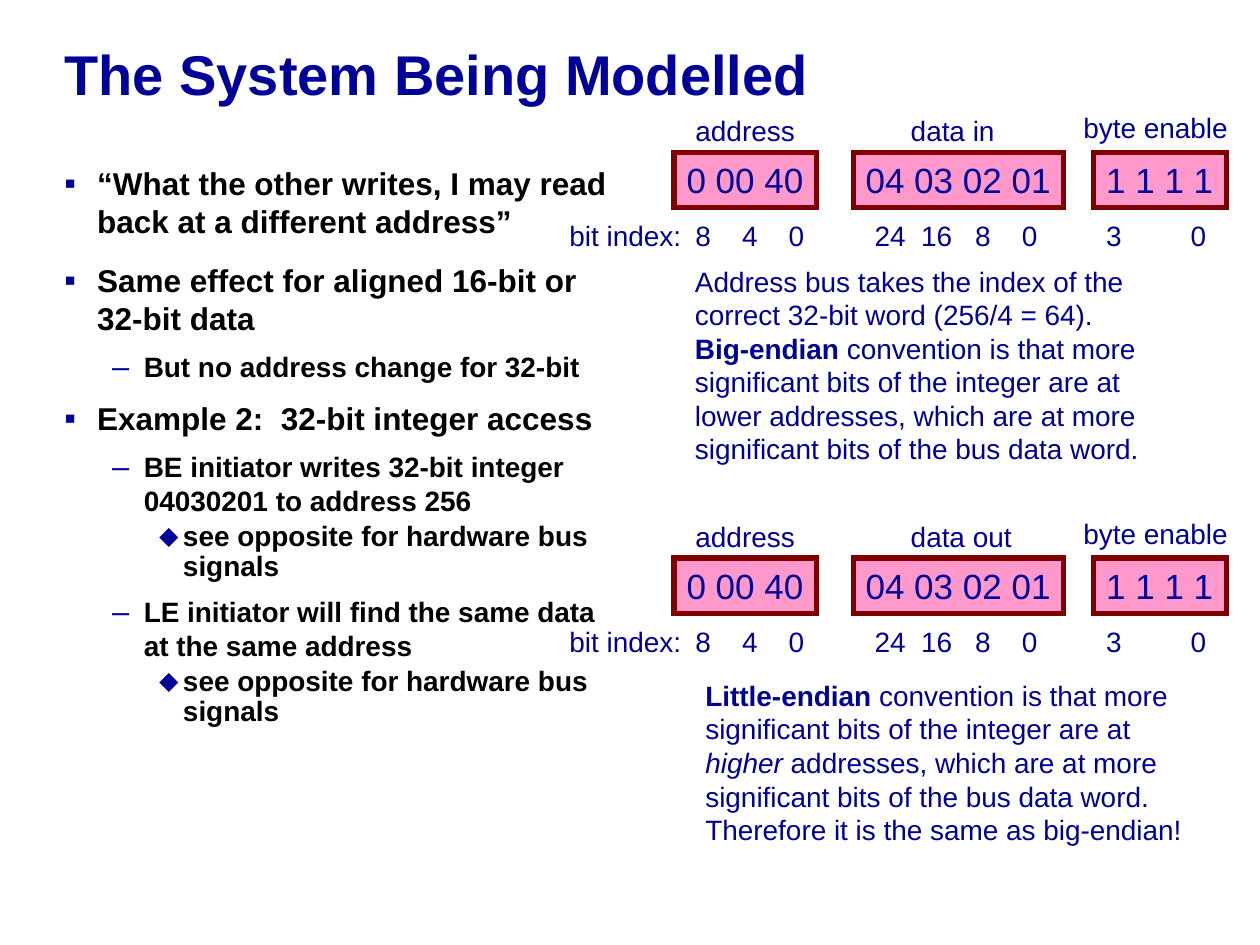
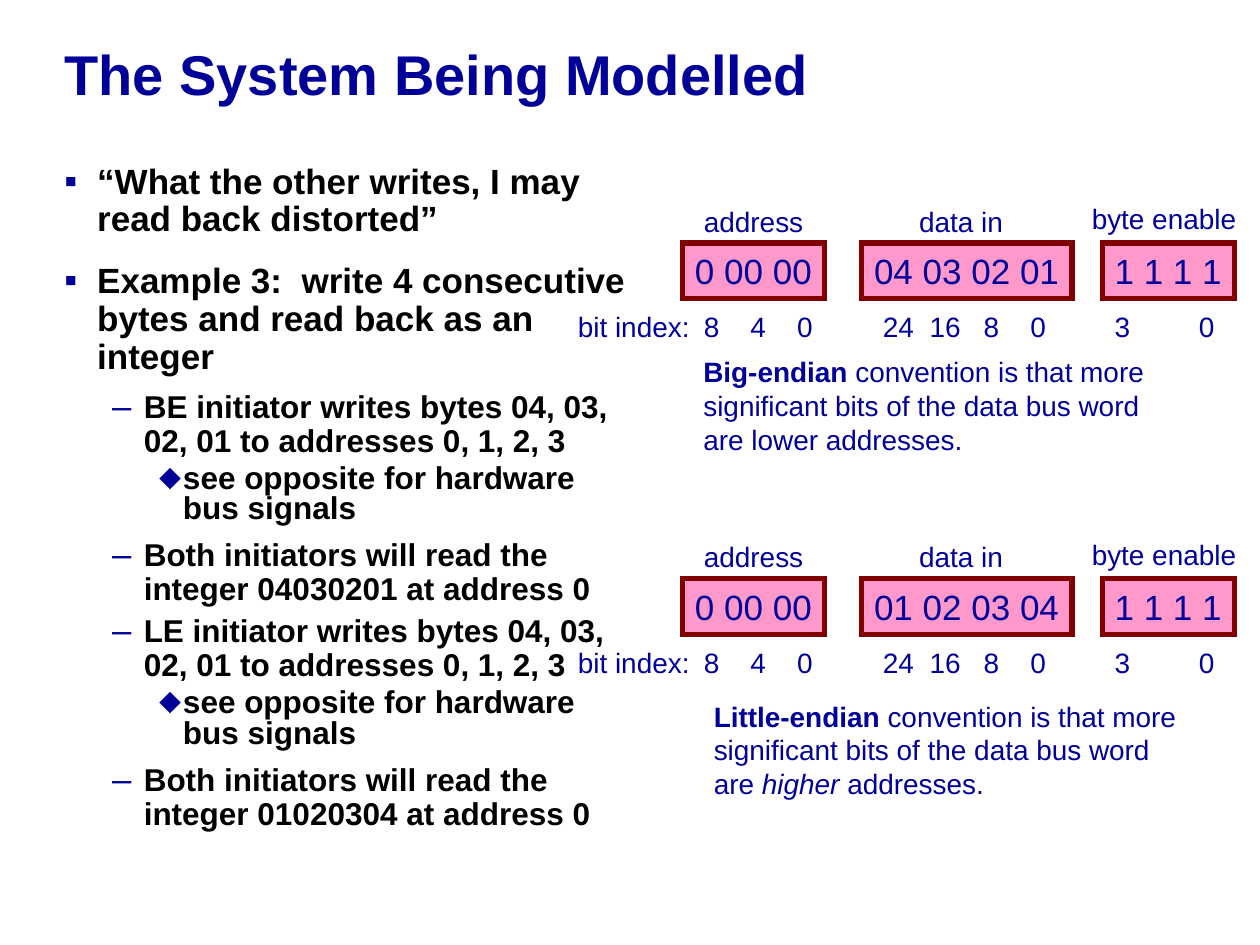
import pptx
import pptx.dml.color
import pptx.enum.shapes
import pptx.enum.text
import pptx.oxml.ns
import pptx.util
import lxml.etree

Cm = pptx.util.Cm
Pt = pptx.util.Pt

NAVY = "000099"
BLACK = "000000"
PINK = "FF99CC"
MAROON = "800000"
TITLE = "The System Being Modelled"
BIT_INDICES = ("bit index:", "8", "4", "0", "24", "16", "8", "0", "3", "0")
BIT_STOPS = (2.54, 3.48, 4.42, 6.15, 7.09, 8.18, 9.12, 10.82, 12.52)
LABEL_WIDTHS = {"address": 2.55, "data in": 2.25, "data out": 2.6, "byte enable": 3.45}

# bullet, bullet size in percent, left margin, hanging indent, before and after as shares of size
LEVELS = (
    ("▪", 105, 0.66, 0.66, 0.5, 0.187),
    ("–", 110, 1.6, 0.64, 0.25, 0),
    ("⬥", 100, 2.39, 0.48, 0.187, 0.187),
)


def color(hex_string):
    """Turn a hex string into a colour."""
    return pptx.dml.color.RGBColor.from_string(hex_string)


def add_text(paragraph, text, size=16, fill=NAVY, bold=False, italic=False):
    """Append one formatted run to a paragraph."""
    run = paragraph.add_run()
    run.text = text
    run.font.name = "Arial"
    run.font.size = Pt(size)
    run.font.bold = bold
    run.font.italic = italic
    run.font.color.rgb = color(fill)


def add_element(parent, tag, **attributes):
    """Append a drawing element with the given attributes."""
    values = {name: str(value) for name, value in attributes.items()}
    return lxml.etree.SubElement(parent, pptx.oxml.ns.qn(tag), values)


def fit_to_text(frame):
    """Keep the text on one line and let the shape follow it."""
    frame.word_wrap = False
    frame.auto_size = pptx.enum.text.MSO_AUTO_SIZE.SHAPE_TO_FIT_TEXT


class Deck:
    """Hold the shared style and the current slide."""

    def __init__(self):
        """Start an empty presentation of 10 by 7.5 inches."""
        self.presentation = pptx.Presentation()
        self.presentation.slide_width = Cm(25.4)
        self.presentation.slide_height = Cm(19.05)
        self.slide = None

    def text_box(self, left, top, width, height):
        """Add an empty wrapping text box and return its frame."""
        shape = self.slide.shapes.add_textbox(Cm(left), Cm(top), Cm(width), Cm(height))
        shape.text_frame.word_wrap = True
        return shape.text_frame

    def new_slide(self):
        """Add a blank slide with the common title."""
        self.slide = self.presentation.slides.add_slide(self.presentation.slide_layouts[6])
        frame = self.text_box(1.05, 0, 24.13, 3.18)
        frame.vertical_anchor = pptx.enum.text.MSO_ANCHOR.MIDDLE
        frame.paragraphs[0].line_spacing = 0.85
        add_text(frame.paragraphs[0], TITLE, size=32, bold=True)

    def bullets(self, items, sizes, spacings):
        """Add the bulleted column from pairs of level and text."""
        frame = self.text_box(1.05, 3.18, 11.82, 13.97)
        for index, (level, text) in enumerate(items):
            character, percent, margin, hanging, before, after = LEVELS[level]
            size = sizes[level]
            paragraph = frame.add_paragraph() if index else frame.paragraphs[0]
            paragraph.level = level
            properties = paragraph._p.get_or_add_pPr()
            properties.set("marL", str(Cm(margin)))
            properties.set("indent", str(-Cm(hanging)))
            add_element(add_element(properties, "a:buClr"), "a:srgbClr", val=NAVY)
            add_element(properties, "a:buSzPct", val=percent * 1000)
            add_element(properties, "a:buFont", typeface="Arial")
            add_element(properties, "a:buChar", char=character)
            paragraph.line_spacing = spacings[level]
            paragraph.space_before = Pt(round(before * size, 1) if index else 0)
            paragraph.space_after = Pt(round(after * size, 1))
            add_text(paragraph, text, size=size, fill=BLACK, bold=True)

    def signal_box(self, text, left, top, width):
        """Add one framed bus value."""
        shape = self.slide.shapes.add_shape(
            pptx.enum.shapes.MSO_SHAPE.RECTANGLE, Cm(left), Cm(top), Cm(width), Cm(1.12))
        shape.shadow.inherit = False
        shape.fill.solid()
        shape.fill.fore_color.rgb = color(PINK)
        shape.line.color.rgb = color(MAROON)
        shape.line.width = Pt(3)
        outline = shape._element.spPr.find(pptx.oxml.ns.qn("a:ln"))
        add_element(outline, "a:miter", lim=800000)
        frame = shape.text_frame
        fit_to_text(frame)
        frame.vertical_anchor = pptx.enum.text.MSO_ANCHOR.TOP
        frame.paragraphs[0].alignment = pptx.enum.text.PP_ALIGN.LEFT
        add_text(frame.paragraphs[0], text, size=20)

    def label(self, text, left, top):
        """Add the name above a bus value."""
        frame = self.text_box(left, top, LABEL_WIDTHS[text], 0.94)
        fit_to_text(frame)
        add_text(frame.paragraphs[0], text)

    def bit_index(self, left, top):
        """Add the row of bit numbers on tab stops."""
        paragraph = self.text_box(left, top, 13.54, 0.94).paragraphs[0]
        tabs = add_element(paragraph._p.get_or_add_pPr(), "a:tabLst")
        for stop in BIT_STOPS:
            add_element(tabs, "a:tab", pos=Cm(stop), algn="l")
        add_text(paragraph, "\t".join(BIT_INDICES))

    def bus(self, left, top, address, data, data_label="data in"):
        """Add the address, data and byte enable signals of one access."""
        self.signal_box("1 1 1 1", left + 8.46, top, 2.67)
        self.signal_box(data, left + 3.61, top, 4.24)
        self.signal_box(address, left, top, 2.87)
        self.label("byte enable", left + 8, top - 0.96)
        self.label(data_label, left + 4.52, top - 0.91)
        self.label("address", left + 0.18, top - 0.91)
        self.bit_index(left - 2.36, top + 1.21)

    def note(self, left, top, height, *paragraphs):
        """Add an explanation whose paragraphs are lists of text and format."""
        frame = self.text_box(left, top, 10.16, height)
        for index, runs in enumerate(paragraphs):
            paragraph = frame.add_paragraph() if index else frame.paragraphs[0]
            for text, style in runs:
                add_text(paragraph, text, **style)


def main():
    """Build both slides and save them."""
    deck = Deck()
    plain, bold, italic = {}, {"bold": True}, {"italic": True}
    see_opposite = (2, "see opposite for hardware bus signals")

    deck.new_slide()
    deck.bullets([
        (0, "“What the other writes, I may read back at a different address”"),
        (0, "Same effect for aligned 16-bit or 32-bit data"),
        (1, "But no address change for 32-bit"),
        (0, "Example 2:  32-bit integer access"),
        (1, "BE initiator writes 32-bit integer 04030201 to address 256"),
        see_opposite,
        (1, "LE initiator will find the same data at the same address"),
        see_opposite,
    ], sizes=(18, 16, 16), spacings=(1.0, 1.0, 0.9))
    left, top_big, top_little = 13.59, 3.07, 11.25
    deck.bus(left, top_big, "0 00 40", "04 03 02 01")
    deck.bus(left, top_little, "0 00 40", "04 03 02 01", data_label="data out")
    deck.note(
        left + 0.17, top_big + 2.13, 4.32,
        [("Address bus takes the index of the correct 32-bit word (256/4 = 64).", plain)],
        [("Big-endian", bold),
         (" convention is that more significant bits of the integer are at lower addresses, "
          "which are at more significant bits of the bus data word.", plain)])
    deck.note(
        left + 0.38, top_little + 2.3, 3.66,
        [("Little-endian", bold),
         (" convention is that more significant bits of the integer are at ", plain),
         ("higher", italic),
         (" addresses, which are at more significant bits of the bus data word.", plain)],
        [("Therefore it is the same as big-endian!", plain)])

    deck.new_slide()
    write_bytes = (1, "BE initiator writes bytes 04, 03, 02, 01 to addresses 0, 1, 2, 3")
    deck.bullets([
        (0, "“What the other writes, I may read back distorted”"),
        (0, "Example 3:  write 4 consecutive bytes and read back as an integer"),
        write_bytes,
        see_opposite,
        (1, "Both initiators will read the integer 04030201 at address 0"),
        (1, write_bytes[1].replace("BE", "LE")),
        see_opposite,
        (1, "Both initiators will read the integer 01020304 at address 0"),
    ], sizes=(20, 18, 18), spacings=(0.9, 0.9, 0.8))
    left, top_big, top_little = 13.76, 4.9, 11.67
    deck.bus(left, top_big, "0 00 00", "04 03 02 01")
    deck.bus(left, top_little, "0 00 00", "01 02 03 04")
    deck.note(
        left + 0.17, top_big + 2.13, 2.29,
        [("Big-endian", bold),
         (" convention is that more significant bits of the data bus word "
          "are lower addresses.", plain)])
    deck.note(
        left + 0.38, top_little + 2.3, 2.29,
        [("Little-endian", bold),
         (" convention is that more significant bits of the data bus word are ", plain),
         ("higher", italic),
         (" addresses.", plain)])

    deck.presentation.save("out.pptx")


if __name__ == "__main__":
    main()
